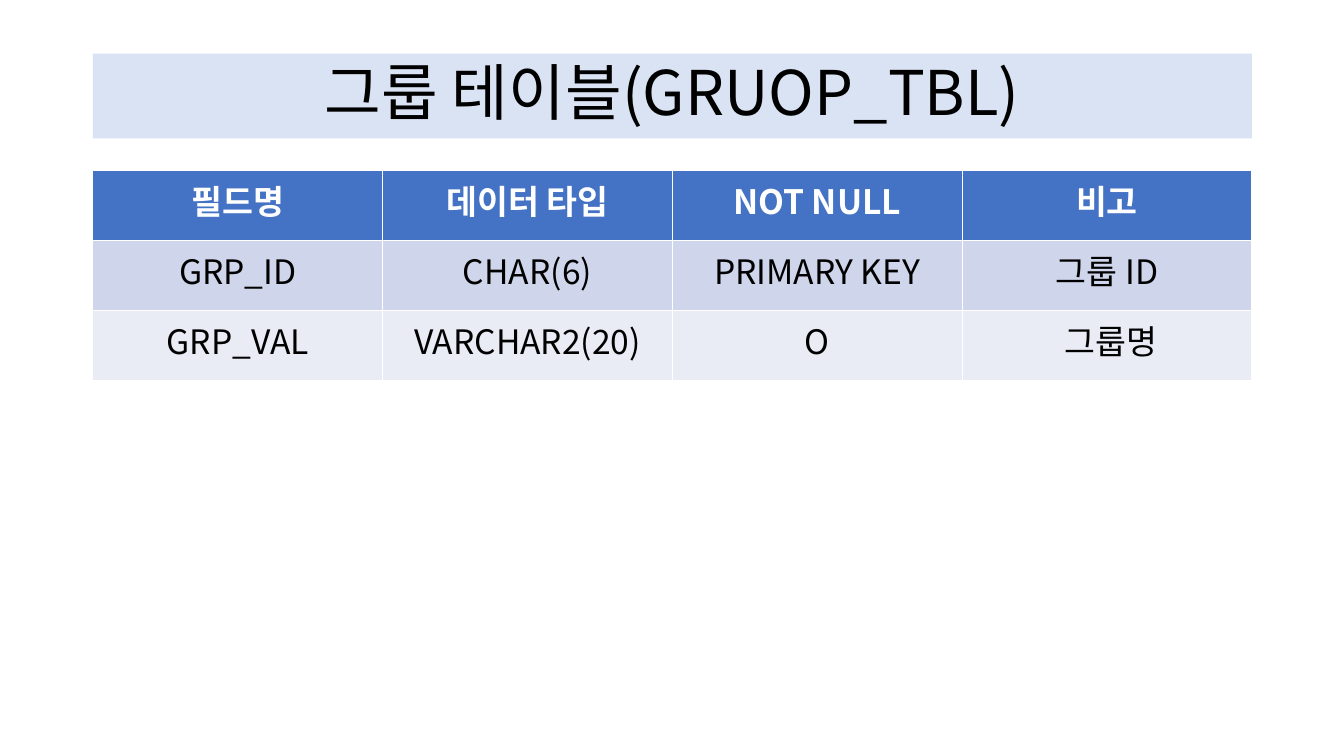
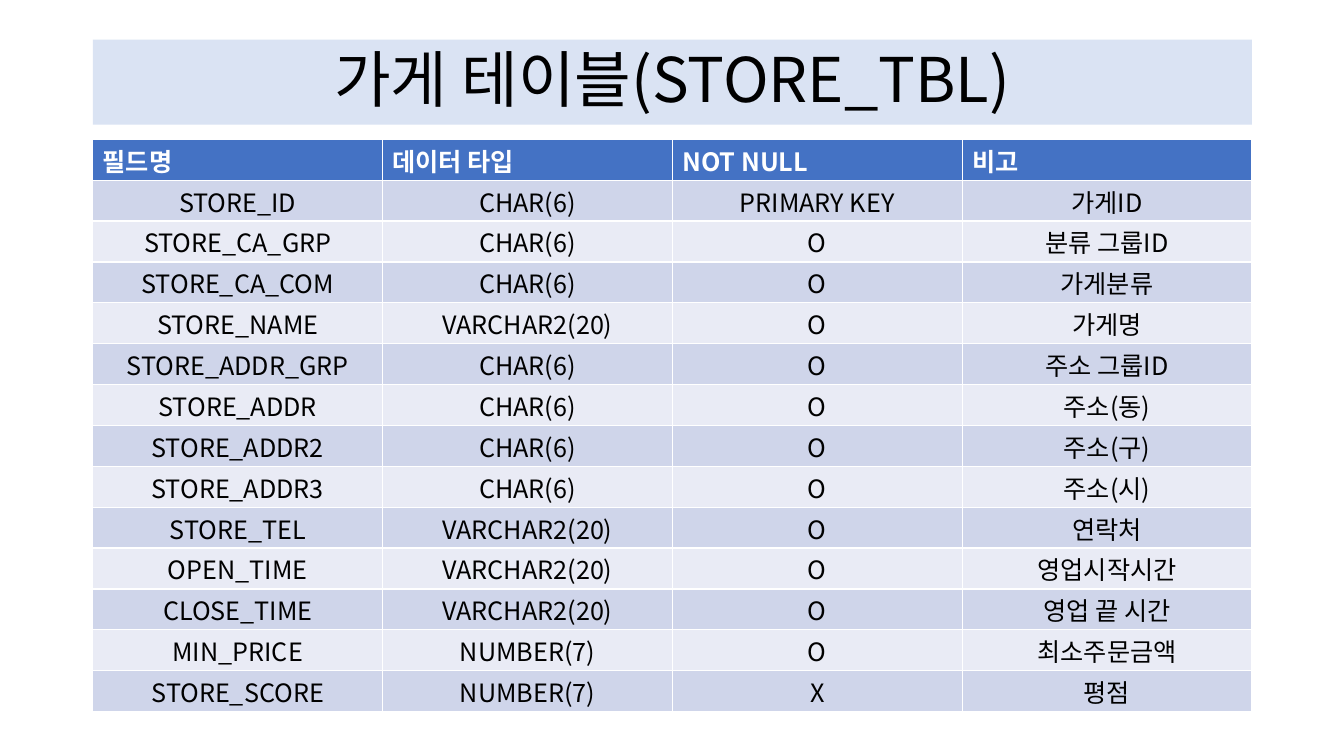
"""Build two slides that describe database tables."""
import lxml.etree
import pptx
import pptx.dml.color
import pptx.enum.text
import pptx.oxml.ns
import pptx.util

Cm = pptx.util.Cm
Pt = pptx.util.Pt
CENTER = pptx.enum.text.PP_ALIGN.CENTER
LEFT = pptx.enum.text.PP_ALIGN.LEFT
TOP = pptx.enum.text.MSO_ANCHOR.TOP
MIDDLE = pptx.enum.text.MSO_ANCHOR.MIDDLE

FONT = "Noto Sans CJK KR"
BLACK, WHITE = "000000", "FFFFFF"
TITLE_FILL, HEADER_FILL = "DAE3F3", "4472C4"
BAND_FILLS = ("CFD5EA", "E9EBF5")
CONTENT_LEFT, CONTENT_WIDTH = Cm(2.34), Cm(29.21)
TITLE_HEIGHT = Cm(2.14)
HEADER = ("필드명", "데이터 타입", "NOT NULL", "비고")

GROUP_FIELDS = (
    ("GRP_ID", "CHAR(6)", "PRIMARY KEY", "그룹 ID"),
    ("GRP_VAL", "VARCHAR2(20)", "O", " 그룹명"),
)
STORE_FIELDS = (
    ("STORE_ID", "CHAR(6)", "PRIMARY KEY", "가게ID"),
    ("STORE_CA_GRP", "CHAR(6)", "O", "분류 그룹ID"),
    ("STORE_CA_COM", "CHAR(6)", "O", "가게분류"),
    ("STORE_NAME", "VARCHAR2(20)", "O", "가게명"),
    ("STORE_ADDR_GRP", "CHAR(6)", "O", "주소 그룹ID"),
    ("STORE_ADDR", "CHAR(6)", "O", "주소(동)"),
    ("STORE_ADDR2", "CHAR(6)", "O", "주소(구)"),
    ("STORE_ADDR3", "CHAR(6)", "O", "주소(시)"),
    ("STORE_TEL", "VARCHAR2(20)", "O", "연락처"),
    ("OPEN_TIME", "VARCHAR2(20)", "O", "영업시작시간"),
    ("CLOSE_TIME", "VARCHAR2(20)", "O", "영업 끝 시간"),
    ("MIN_PRICE", "NUMBER(7)", "O", "최소주문금액"),
    ("STORE_SCORE", "NUMBER(7)", "X", "평점"),
)


def set_color(color_format, color):
    """Give a colour format the colour of a hex string."""
    color_format.rgb = pptx.dml.color.RGBColor.from_string(color)


def set_fill(target, color):
    """Fill a shape or a cell with one colour."""
    target.fill.solid()
    set_color(target.fill.fore_color, color)


def write_text(text_frame, text, size, color, bold=False, alignment=CENTER):
    """Write one paragraph with its Latin and East Asian font."""
    text_frame.text = text
    paragraph = text_frame.paragraphs[0]
    paragraph.alignment = alignment
    font = paragraph.font
    font.name, font.size, font.bold = FONT, Pt(size), bold
    set_color(font.color, color)
    properties = paragraph._p.pPr.find(pptx.oxml.ns.qn("a:defRPr"))
    east_asian = lxml.etree.SubElement(properties, pptx.oxml.ns.qn("a:ea"))
    east_asian.set("typeface", FONT)
    return paragraph


def add_title_slide(presentation, title, top):
    """Add a slide whose title is a pale band."""
    slide = presentation.slides.add_slide(presentation.slide_layouts[5])
    shape = slide.shapes.title
    shape.left, shape.top = CONTENT_LEFT, top
    shape.width, shape.height = CONTENT_WIDTH, TITLE_HEIGHT
    set_fill(shape, TITLE_FILL)
    text_frame = shape.text_frame
    text_frame.auto_size = pptx.enum.text.MSO_AUTO_SIZE.NONE
    text_frame.vertical_anchor = MIDDLE
    paragraph = write_text(text_frame, title, 44, BLACK)
    paragraph.line_spacing = 0.9
    return slide


def set_cell_layout(cell, anchor, side, top, bottom):
    """Set the anchor and the margins of a cell."""
    cell.vertical_anchor = anchor
    cell.margin_left = cell.margin_right = side
    cell.margin_top, cell.margin_bottom = top, bottom


def add_field_table(slide, fields, top, row_height, size, compact=False):
    """Add a table with a header row and banded field rows."""
    rows = (HEADER, *fields)
    table = slide.shapes.add_table(
        len(rows), len(HEADER), CONTENT_LEFT, top,
        CONTENT_WIDTH, row_height * len(rows)).table
    for row_index, values in enumerate(rows):
        table.rows[row_index].height = row_height
        is_header = row_index == 0
        fill = HEADER_FILL if is_header else BAND_FILLS[(row_index - 1) % 2]
        color = WHITE if is_header else BLACK
        alignment = LEFT if is_header and compact else CENTER
        for column_index, value in enumerate(values):
            cell = table.cell(row_index, column_index)
            set_fill(cell, fill)
            write_text(cell.text_frame, value, size, color, is_header, alignment)
            if compact and is_header:
                set_cell_layout(cell, TOP, Cm(0.25), Cm(0.08), Cm(0))
            elif compact:
                set_cell_layout(cell, MIDDLE, Cm(0.02), Cm(0.02), Cm(0))


def main():
    """Build and save the presentation."""
    presentation = pptx.Presentation()
    presentation.slide_width, presentation.slide_height = Cm(33.87), Cm(19.05)
    slide = add_title_slide(presentation, "그룹 테이블(GRUOP_TBL)", Cm(1.35))
    add_field_table(slide, GROUP_FIELDS, Cm(4.3), Cm(1.76), 24)
    slide = add_title_slide(presentation, "가게 테이블(STORE_TBL)", Cm(1))
    add_field_table(slide, STORE_FIELDS, Cm(3.51), Cm(1.03), 18, compact=True)
    presentation.save("out.pptx")


if __name__ == "__main__":
    main()
